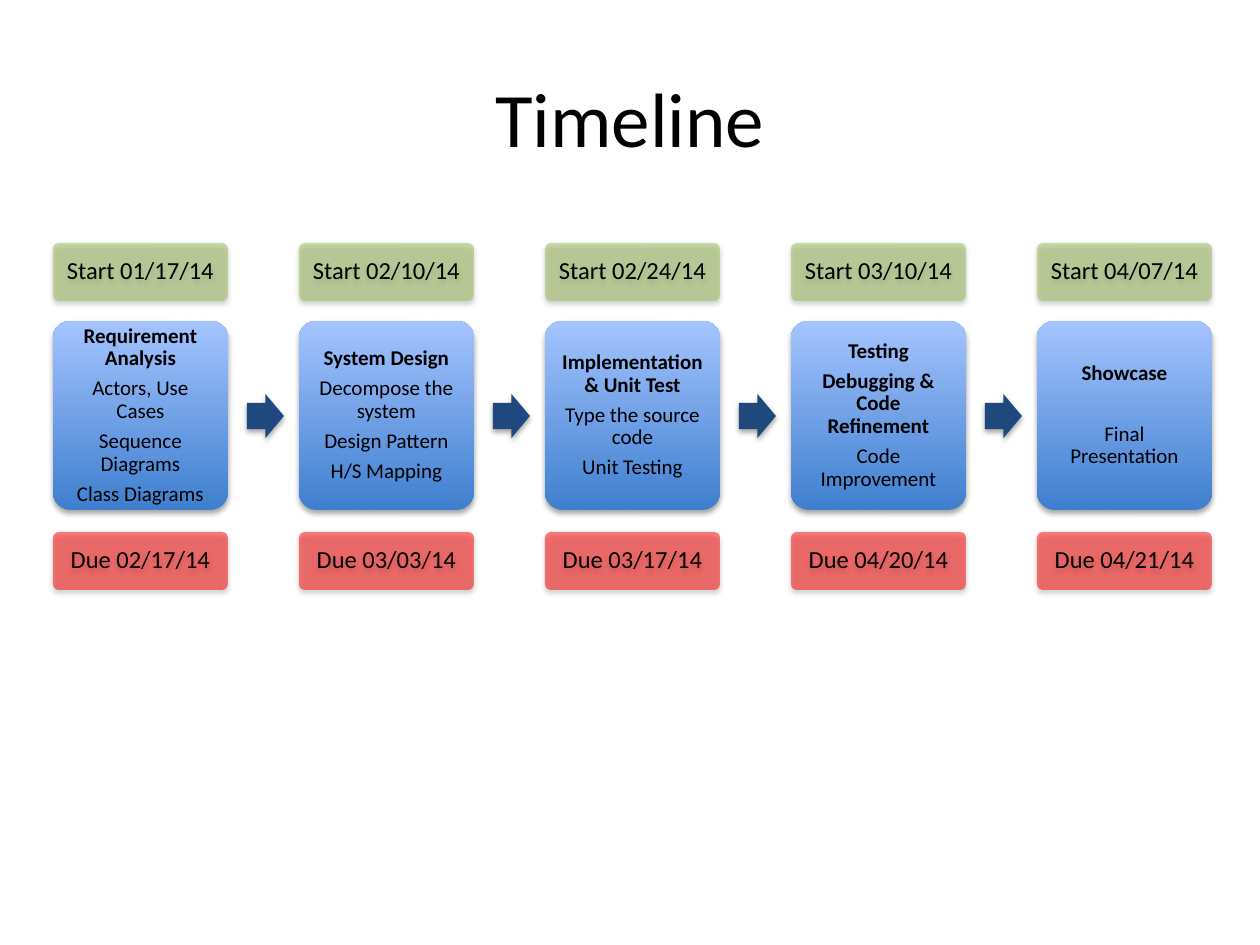
"""Build a project timeline slide with five phases, their start dates and due dates."""
from dataclasses import dataclass

from lxml import etree
from pptx import Presentation
from pptx import util as u
from pptx.dml.color import RGBColor
from pptx.enum import shapes, text
from pptx.oxml.ns import qn

PX_PER_INCH = 126
FONT = "Calibri"
BLACK = RGBColor(0x00, 0x00, 0x00)
NAVY = RGBColor(0x1F, 0x49, 0x7D)
BLUE = RGBColor(0x3F, 0x7F, 0xCE)
LIGHT_BLUE = RGBColor(0xA4, 0xC4, 0xFF)
GREEN = RGBColor(0x9B, 0xBB, 0x59)
RED = RGBColor(0xFF, 0x00, 0x00)

LEFT, PITCH, WIDTH = 53, 246, 175
START_TOP, CARD_TOP, DUE_TOP = 243, 321, 532
DATE_HEIGHT, CARD_HEIGHT = 58, 189
ARROW_OFFSET, ARROW_TOP, ARROW_WIDTH, ARROW_HEIGHT = 194, 394, 37, 44


@dataclass(frozen=True)
class Phase:
    start: str
    due: str
    headings: tuple[str, ...]
    tasks: tuple[str, ...]
    heading_gap: float = 4.2


PHASES = (
    Phase("01/17/14", "02/17/14", ("Requirement Analysis",),
          ("Actors, Use Cases", "Sequence Diagrams", "Class Diagrams")),
    Phase("02/10/14", "03/03/14", ("System Design",),
          ("Decompose the system", "Design Pattern", "H/S Mapping")),
    Phase("02/24/14", "03/17/14", ("Implementation & Unit Test",),
          ("Type the source code", "Unit Testing")),
    Phase("03/10/14", "04/20/14", ("Testing", "Debugging & Code Refinement"),
          ("Code Improvement",)),
    Phase("04/07/14", "04/21/14", ("Showcase",), ("Final Presentation",), 21.6),
)


def px(n: int) -> u.Emu:
    return u.Emu(round(n * 914400 / PX_PER_INCH))


def add_shape(slide, kind, x: int, y: int, w: int, h: int, *adjustments: float):
    sp = slide.shapes.add_shape(kind, px(x), px(y), px(w), px(h))
    for i, value in enumerate(adjustments):
        sp.adjustments[i] = value
    sp.line.fill.background()
    sp.shadow.inherit = False
    effects = sp._element.spPr.find(qn("a:effectLst"))
    shadow = etree.SubElement(
        effects, qn("a:outerShdw"), blurRad=str(u.Pt(3.1)), dist=str(u.Pt(1.8)),
        dir="5400000", rotWithShape="0")
    color = etree.SubElement(shadow, qn("a:srgbClr"), val=str(BLACK))
    etree.SubElement(color, qn("a:alpha"), val="35000")
    return sp


def prepare_frame(sp, inset: int):
    tf = sp.text_frame
    tf.word_wrap = True
    tf.vertical_anchor = text.MSO_ANCHOR.MIDDLE
    tf.margin_left = tf.margin_right = tf.margin_top = tf.margin_bottom = px(inset)
    return tf


def format_paragraph(p, size: int, bold: bool = False) -> None:
    p.alignment = text.PP_ALIGN.CENTER
    p.font.name = FONT
    p.font.size = u.Pt(size)
    p.font.bold = bold
    p.font.color.rgb = BLACK


def add_date(slide, x: int, y: int, label: str, color: RGBColor) -> None:
    sp = add_shape(slide, shapes.MSO_SHAPE.ROUNDED_RECTANGLE,
                   x, y, WIDTH, DATE_HEIGHT, 0.1)
    sp.fill.solid()
    sp.fill.fore_color.rgb = color
    rgb = sp._element.spPr.find(qn("a:solidFill")).find(qn("a:srgbClr"))
    etree.SubElement(rgb, qn("a:alpha"), val="50000")
    p = prepare_frame(sp, 9).paragraphs[0]
    p.text = label
    p.line_spacing = 0.9
    format_paragraph(p, 14)


def add_card(slide, x: int, phase: Phase) -> None:
    sp = add_shape(slide, shapes.MSO_SHAPE.ROUNDED_RECTANGLE,
                   x, CARD_TOP, WIDTH, CARD_HEIGHT, 0.1)
    sp.fill.gradient()
    sp.fill.gradient_angle = 90
    for stop, color in zip(sp.fill.gradient_stops, (BLUE, LIGHT_BLUE)):
        stop.color.rgb = color
    tf = prepare_frame(sp, 11)
    for i, line in enumerate(phase.headings + phase.tasks):
        p = tf.add_paragraph() if i else tf.paragraphs[0]
        p.text = line
        is_heading = i < len(phase.headings)
        p.line_spacing = 0.9
        p.space_after = u.Pt(phase.heading_gap if is_heading else 4.2)
        format_paragraph(p, 12, is_heading)


def add_arrow(slide, x: int) -> None:
    sp = add_shape(slide, shapes.MSO_SHAPE.RIGHT_ARROW, x, ARROW_TOP,
                   ARROW_WIDTH, ARROW_HEIGHT, 0.6, 0.5)
    sp.fill.solid()
    sp.fill.fore_color.rgb = NAVY


def add_title(slide, label: str) -> None:
    title = slide.shapes.title
    title.left, title.top, title.width, title.height = map(px, (63, 38, 1134, 157))
    title.text_frame.vertical_anchor = text.MSO_ANCHOR.MIDDLE
    p = title.text_frame.paragraphs[0]
    p.text = label
    format_paragraph(p, 44)


def main() -> None:
    prs = Presentation()
    prs.slide_width, prs.slide_height = px(1260), px(945)
    slide = prs.slides.add_slide(prs.slide_layouts[5])
    add_title(slide, "Timeline")
    for i, phase in enumerate(PHASES):
        x = LEFT + i * PITCH
        add_date(slide, x, START_TOP, f"Start {phase.start}", GREEN)
        add_card(slide, x, phase)
        add_date(slide, x, DUE_TOP, f"Due {phase.due}", RED)
        if i < len(PHASES) - 1:
            add_arrow(slide, x + ARROW_OFFSET)
    prs.save("out.pptx")


if __name__ == "__main__":
    main()
